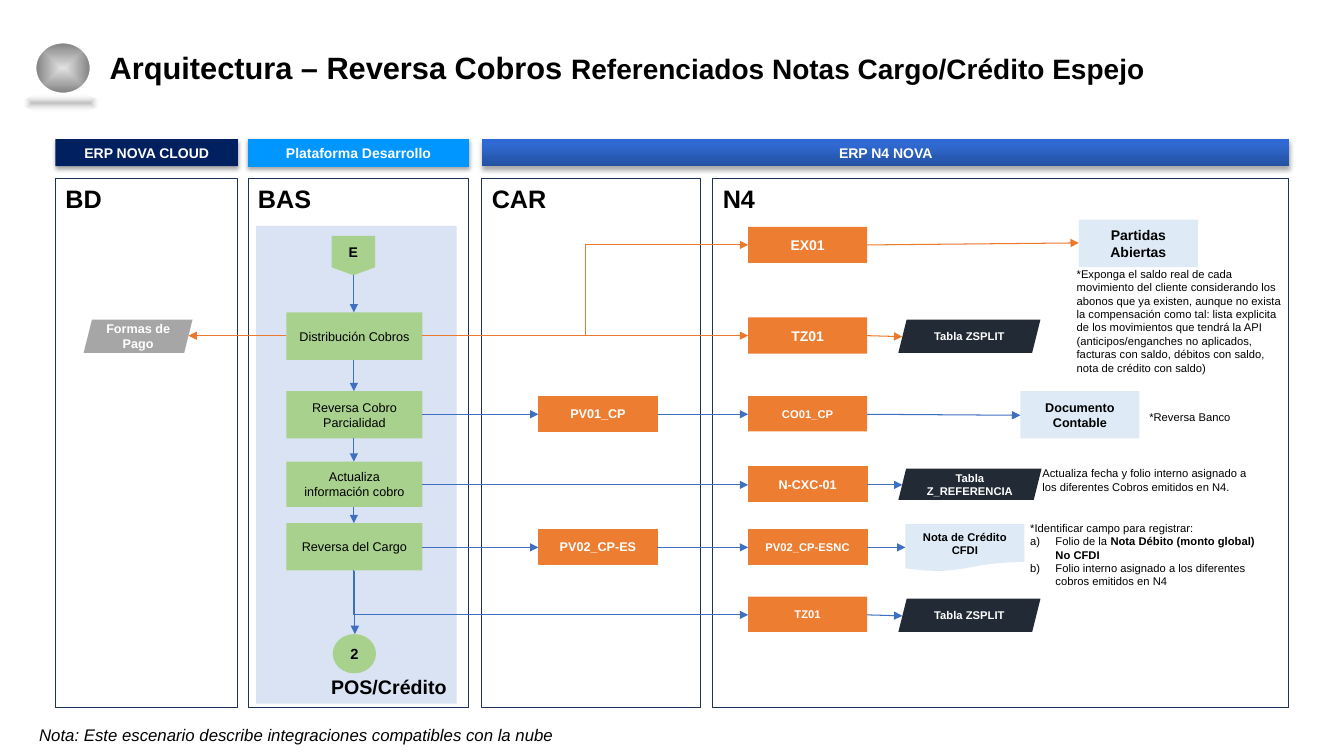
from lxml import etree
from pptx import Presentation
from pptx.dml.color import RGBColor
from pptx.enum.shapes import MSO_CONNECTOR as LINK, MSO_SHAPE as SHAPE
from pptx.enum.text import MSO_ANCHOR as ANCHOR, PP_ALIGN as ALIGN
from pptx.oxml import parse_xml
from pptx.oxml.ns import nsdecls, qn
from pptx.util import Inches, Pt

BLACK = RGBColor(0x00, 0x00, 0x00)
WHITE = RGBColor(0xFF, 0xFF, 0xFF)
ORANGE = RGBColor(0xED, 0x7D, 0x31)
ORANGE_EDGE = RGBColor(0xED, 0x7D, 0x30)
ORANGE_LINE = RGBColor(0xEC, 0x79, 0x2B)
BLUE_LINE = RGBColor(0x3F, 0x6F, 0xC3)
GREEN = RGBColor(0xA9, 0xD1, 0x8E)
PALE_BLUE = RGBColor(0xDE, 0xEB, 0xF7)
LAVENDER = RGBColor(0xDA, 0xE3, 0xF3)
CHARCOAL = RGBColor(0x22, 0x2A, 0x35)
GREY = RGBColor(0xA6, 0xA6, 0xA6)
PANEL_EDGE = RGBColor(0x1E, 0x32, 0x56)
NAVY = RGBColor(0x00, 0x20, 0x60)
AZURE = RGBColor(0x00, 0x96, 0xFF)
SILVER = RGBColor(0xE0, 0xE0, 0xE0)
MID_GREY = RGBColor(0x80, 0x80, 0x80)
BANNER_STOPS = [(0, RGBColor(0x24, 0x51, 0xA1), 100),
                (80, RGBColor(0x2F, 0x69, 0xD1), 100),
                (100, RGBColor(0x2C, 0x69, 0xD5), 100)]
RADIAL = '<a:path path="rect"><a:fillToRect l="50000" t="50000" r="50000" b="50000"/></a:path>'
UPWARD = '<a:lin ang="16200000" scaled="0"/>'


def write(frame, *paragraphs, size=9, bold=False, italic=False, color=BLACK,
          align=ALIGN.LEFT, anchor=ANCHOR.TOP, spacing=None, numbered_from=None):
    """Fill a text frame; a paragraph is a string or a list of (text, format) runs."""
    frame.word_wrap = True
    frame.vertical_anchor = anchor
    for index, content in enumerate(paragraphs):
        paragraph = frame.paragraphs[0] if index == 0 else frame.add_paragraph()
        paragraph.alignment = align
        if spacing:
            paragraph.line_spacing = spacing
        if numbered_from is not None and index >= numbered_from:
            props = paragraph._p.get_or_add_pPr()
            props.set("marL", str(Inches(0.25)))
            props.set("indent", str(-Inches(0.25)))
            etree.SubElement(props, qn("a:buAutoNum"), type="alphaLcParenR")
        for text, own in [(content, {})] if isinstance(content, str) else content:
            run = paragraph.add_run()
            run.text = text
            font = run.font
            font.name = "Arial"
            font.size = Pt(own.get("size", size))
            font.bold = own.get("bold", bold)
            font.italic = italic
            font.color.rgb = color


class Diagram:
    def __init__(self, slide):
        self.shapes = slide.shapes

    def shape(self, kind, left, top, width, height, fill=None, edge=None, edge_width=0.75):
        item = self.shapes.add_shape(kind, *map(Inches, (left, top, width, height)))
        item.shadow.inherit = False
        if fill is None:
            item.fill.background()
        else:
            item.fill.solid()
            item.fill.fore_color.rgb = fill
        if edge is None:
            item.line.fill.background()
        else:
            item.line.color.rgb = edge
            item.line.width = Pt(edge_width)
        return item

    def node(self, text, left, top, width, height, fill, kind=SHAPE.RECTANGLE,
             edge=None, anchor=ANCHOR.MIDDLE, **fmt):
        item = self.shape(kind, left, top, width, height, fill, edge)
        write(item.text_frame, text, align=ALIGN.CENTER, anchor=anchor, **fmt)
        return item

    def gradient(self, item, stops, direction):
        marks = "".join(
            f'<a:gs pos="{pos * 1000}"><a:srgbClr val="{color}">'
            f'<a:alpha val="{alpha * 1000}"/></a:srgbClr></a:gs>' for pos, color, alpha in stops)
        fill = parse_xml(f'<a:gradFill {nsdecls("a")} rotWithShape="1">'
                         f'<a:gsLst>{marks}</a:gsLst>{direction}</a:gradFill>')
        props = item._element.spPr
        props.replace(props.find(qn("a:noFill")), fill)

    def panel(self, text, left, width):
        item = self.shape(SHAPE.RECTANGLE, left, 1.77, width, 5.25, edge=PANEL_EDGE)
        write(item.text_frame, text, size=18, bold=True)

    def banner(self, text, left, width, fill=None, edge=None):
        item = self.node(text, left, 1.38, width, 0.27, fill, edge=edge, anchor=ANCHOR.TOP,
                         size=10, bold=True, color=WHITE)
        effects = item._element.spPr.find(qn("a:effectLst"))
        effects.append(parse_xml(
            f'<a:outerShdw {nsdecls("a")} blurRad="{Pt(3.1)}" dist="{Pt(1.8)}" dir="5400000" '
            'rotWithShape="0"><a:srgbClr val="000000"><a:alpha val="35000"/></a:srgbClr>'
            '</a:outerShdw>'))
        return item

    def note(self, left, top, width, height, *paragraphs, size=8, **fmt):
        box = self.shapes.add_textbox(*map(Inches, (left, top, width, height)))
        write(box.text_frame, *paragraphs, size=size, **fmt)

    def arrow(self, x1, y1, x2, y2, color=BLUE_LINE, kind=LINK.STRAIGHT):
        link = self.shapes.add_connector(kind, *map(Inches, (x1, y1, x2, y2)))
        link.line.color.rgb = color
        link.line.width = Pt(0.75)
        link.line._get_or_add_ln().append(parse_xml(f'<a:tailEnd {nsdecls("a")} type="triangle"/>'))
        etree.SubElement(link._element.spPr, qn("a:effectLst"))
        return link

    def corner(self, x1, y1, x2, y2):
        """Arrow that goes down and then right, as a quarter-turned elbow."""
        mid_x, mid_y = (x1 + x2) / 2, (y1 + y2) / 2
        half_w, half_h = (y2 - y1) / 2, (x2 - x1) / 2
        link = self.arrow(mid_x + half_w, mid_y - half_h, mid_x - half_w, mid_y + half_h,
                          kind=LINK.ELBOW)
        props = link._element.spPr
        props.find(qn("a:xfrm")).set("rot", "16200000")
        props.find(qn("a:prstGeom")).set("prst", "bentConnector2")


def main():
    deck = Presentation()
    deck.slide_width, deck.slide_height = Inches(13.33), Inches(7.5)
    diagram = Diagram(deck.slides.add_slide(deck.slide_layouts[6]))

    pos_area = diagram.shape(SHAPE.RECTANGLE, 2.54, 2.24, 1.99, 4.74, LAVENDER)
    write(pos_area.text_frame, "POS/Crédito", size=14, bold=True,
          align=ALIGN.RIGHT, anchor=ANCHOR.BOTTOM)

    ball = diagram.shape(SHAPE.OVAL, 0.35, 0.42, 0.55, 0.51, edge=WHITE, edge_width=1.5)
    diagram.gradient(ball, [(0, SILVER, 100), (100, MID_GREY, 100)], RADIAL)
    ball_shade = diagram.shape(SHAPE.OVAL, 0.22, 0.93, 0.77, 0.19)
    diagram.gradient(ball_shade, [(0, MID_GREY, 50), (100, WHITE, 0)], RADIAL)
    diagram.note(0.99, 0.48, 11.13, 0.43,
                 [("Arquitectura – Reversa Cobros ", {"size": 22}),
                  ("Referenciados Notas Cargo/Crédito Espejo", {})],
                 size=20, bold=True, spacing=0.9)

    for name, left, width in [("BD", 0.55, 1.81), ("BAS", 2.46, 2.19),
                              ("CAR", 4.78, 2.17), ("N4", 7.07, 5.71)]:
        diagram.panel(name, left, width)
    diagram.banner("ERP NOVA CLOUD", 0.55, 1.81, NAVY)
    diagram.banner("Plataforma Desarrollo", 2.46, 2.19, AZURE, AZURE)
    erp_banner = diagram.banner("ERP N4 NOVA", 4.78, 8.01)
    diagram.gradient(erp_banner, BANNER_STOPS, UPWARD)

    for text, top, height in [("Distribución Cobros", 3.1, 0.47),
                              ("Reversa Cobro Parcialidad", 3.88, 0.47),
                              ("Actualiza información cobro", 4.58, 0.45),
                              ("Reversa del Cargo", 5.19, 0.47)]:
        diagram.node(text, 2.84, top, 1.35, height, GREEN)
    diagram.node("E", 3.29, 2.34, 0.43, 0.39, GREEN, SHAPE.FLOWCHART_OFFPAGE_CONNECTOR,
                 size=10, bold=True)
    diagram.node("2", 3.3, 6.29, 0.43, 0.39, GREEN, SHAPE.OVAL, size=10.5, bold=True)

    for text, left, top, height, size, edge in [
            ("EX01", 7.42, 2.25, 0.36, 10, None),
            ("TZ01", 7.42, 3.15, 0.36, 10, None),
            ("PV01_CP", 5.34, 3.93, 0.35, 9, ORANGE_EDGE),
            ("CO01_CP", 7.42, 3.93, 0.35, 8, None),
            ("N-CXC-01", 7.42, 4.63, 0.35, 9, ORANGE_EDGE),
            ("PV02_CP-ES", 5.34, 5.25, 0.35, 9, ORANGE_EDGE),
            ("PV02_CP-ESNC", 7.42, 5.25, 0.35, 8, ORANGE_EDGE),
            ("TZ01", 7.42, 5.92, 0.35, 8, None)]:
        diagram.node(text, left, top, 1.18, height, ORANGE, edge=edge,
                     size=size, bold=True, color=WHITE)

    for text, left, top, width, height, fill, size in [
            ("Formas de Pago", 0.83, 3.17, 1.08, 0.33, GREY, 9),
            ("Tabla ZSPLIT", 8.91, 3.17, 1.41, 0.33, CHARCOAL, 8),
            ("Tabla Z_REFERENCIA", 8.91, 4.65, 1.42, 0.31, CHARCOAL, 8),
            ("Tabla ZSPLIT", 8.91, 5.94, 1.41, 0.33, CHARCOAL, 8)]:
        diagram.node(text, left, top, width, height, fill, SHAPE.PARALLELOGRAM,
                     size=size, bold=True, color=WHITE)

    diagram.node("Partidas Abiertas", 10.7, 2.18, 1.18, 0.47, PALE_BLUE, size=10, bold=True)
    diagram.node("Documento Contable", 10.12, 3.88, 1.18, 0.47, PALE_BLUE, bold=True)
    diagram.node("Nota de Crédito CFDI", 8.98, 5.2, 1.18, 0.47, PALE_BLUE,
                 SHAPE.FLOWCHART_DOCUMENT, anchor=ANCHOR.BOTTOM, size=8, bold=True)

    diagram.arrow(4.19, 3.33, 7.42, 2.43, ORANGE_LINE, LINK.ELBOW)
    for ends in [(4.19, 3.33, 7.42, 3.33), (2.84, 3.33, 1.87, 3.33),
                 (8.6, 2.43, 10.7, 2.41), (8.6, 3.33, 8.95, 3.34)]:
        diagram.arrow(*ends, ORANGE_LINE)
    for x1, x2, y1, y2 in [(4.19, 5.34, 4.11, 4.11), (6.53, 7.42, 4.11, 4.11),
                           (8.6, 10.12, 4.11, 4.12), (4.19, 7.42, 4.81, 4.81),
                           (8.6, 8.95, 4.81, 4.81), (4.19, 5.34, 5.43, 5.43),
                           (6.52, 7.42, 5.43, 5.43), (8.6, 8.98, 5.43, 5.43),
                           (8.6, 8.95, 6.1, 6.11)]:
        diagram.arrow(x1, y1, x2, y2)
    for y1, y2 in [(2.73, 3.1), (3.57, 3.88), (4.35, 4.58), (5.03, 5.19)]:
        diagram.arrow(3.51, y1, 3.51, y2)
    diagram.arrow(3.52, 5.66, 3.52, 6.29)
    diagram.corner(3.51, 5.66, 7.42, 6.1)

    diagram.note(10.58, 2.6, 2.29, 1.18,
                 "*Exponga el saldo real de cada movimiento del cliente considerando los abonos "
                 "que ya existen, aunque no exista la compensación como tal: lista explicita de "
                 "los movimientos que tendrá la API (anticipos/enganches no aplicados, facturas "
                 "con saldo, débitos con saldo, nota de crédito con saldo)")
    diagram.note(11.3, 4.02, 1.18, 0.24, "*Reversa Banco")
    diagram.note(10.24, 4.58, 2.4, 0.37, "Actualiza fecha y folio interno asignado a los "
                 "diferentes Cobros emitidos en N4.")
    diagram.note(10.12, 5.12, 2.5, 0.77, "*Identificar campo para registrar:",
                 [("Folio de la ", {}), ("Nota Débito (monto global) No CFDI", {"bold": True})],
                 "Folio interno asignado a los diferentes cobros emitidos en N4", numbered_from=1)
    diagram.note(0.29, 7.14, 5.74, 0.3,
                 "Nota: Este escenario describe integraciones compatibles con la nube",
                 size=12, italic=True)
    deck.save("out.pptx")


if __name__ == "__main__":
    main()
